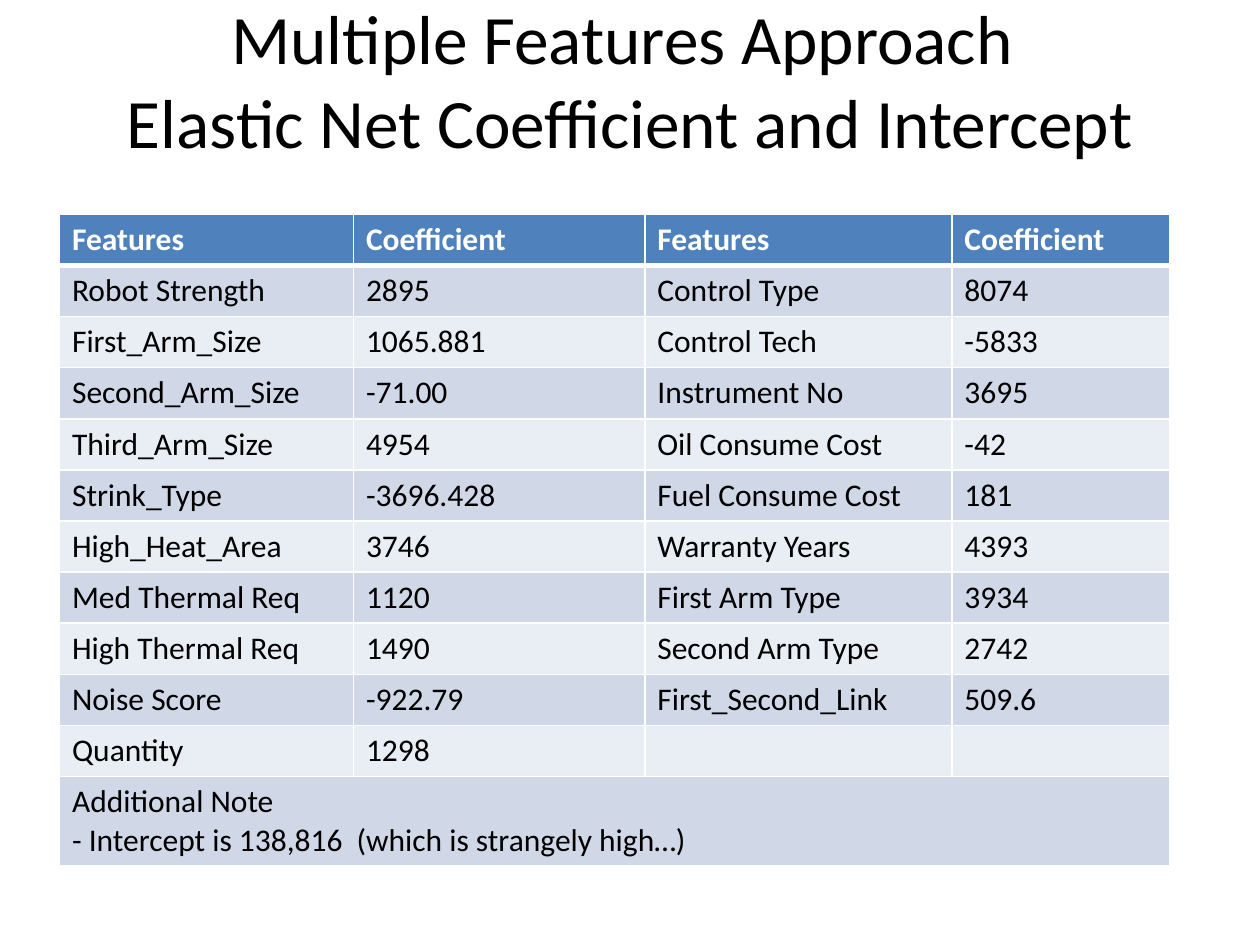
import dataclasses

import lxml.etree
import pptx
import pptx.dml.color
import pptx.enum.text
import pptx.oxml.ns
import pptx.util

Pt = pptx.util.Pt


@dataclasses.dataclass(frozen=True)
class Theme:
    font: str = "Calibri"
    title_size: float = 39.6
    table_size: float = 18
    text: str = "000000"
    light: str = "FFFFFF"
    header: str = "4F81BD"
    bands: tuple = ("D0D8E8", "E9EDF4")
    rule: float = 1
    header_rule: float = 3


TITLE_LINES = ("Multiple Features Approach ", "Elastic Net Coefficient and Intercept")
HEADER = ("Features", "Coefficient", "Features", "Coefficient")
COEFFICIENTS = (
    ("Robot Strength", "2895", "Control Type", "8074"),
    ("First_Arm_Size", "1065.881", "Control Tech", "-5833"),
    ("Second_Arm_Size", "-71.00", "Instrument No", "3695"),
    ("Third_Arm_Size", "4954", "Oil Consume Cost", "-42"),
    ("Strink_Type", "-3696.428", "Fuel Consume Cost", "181"),
    ("High_Heat_Area", "3746", "Warranty Years", "4393"),
    ("Med Thermal Req", "1120", "First Arm Type", "3934"),
    ("High Thermal Req", "1490", "Second Arm Type", "2742"),
    ("Noise Score", "-922.79", "First_Second_Link", "509.6"),
    ("Quantity", "1298", "", ""),
)
NOTE = "Additional Note\n- Intercept is 138,816  (which is strangely high…)"


class SlideBuilder:
    def __init__(self, page, theme):
        self.page = page
        self.theme = theme

    def style(self, para, size, color, bold=False):
        para.font.name = self.theme.font
        para.font.size = Pt(size)
        para.font.bold = bold
        para.font.color.rgb = pptx.dml.color.RGBColor.from_string(color)

    def title(self, lines, left, top, width, height):
        box = self.page.shapes.title
        box.left, box.top, box.width, box.height = map(Pt, (left, top, width, height))
        frame = box.text_frame
        frame.auto_size = pptx.enum.text.MSO_AUTO_SIZE.NONE
        frame.vertical_anchor = pptx.enum.text.MSO_ANCHOR.MIDDLE
        para = frame.paragraphs[0]
        para.text = "\v".join(lines)
        para.alignment = pptx.enum.text.PP_ALIGN.CENTER
        self.style(para, self.theme.title_size, self.theme.text)

    def borders(self, cell, widths):
        """Draw the cell's left, right, top and bottom rules."""
        properties = cell._tc.get_or_add_tcPr()
        qn = pptx.oxml.ns.qn
        for position, (side, width) in enumerate(zip("LRTB", widths)):
            line = lxml.etree.Element(qn(f"a:ln{side}"), w=str(Pt(width)))
            fill = lxml.etree.SubElement(line, qn("a:solidFill"))
            lxml.etree.SubElement(fill, qn("a:srgbClr"), val=self.theme.light)
            properties.insert(position, line)

    def cell(self, cell, text, row):
        theme = self.theme
        is_header = row == 0
        cell.text = text
        for para in cell.text_frame.paragraphs:
            self.style(para, theme.table_size, theme.light if is_header else theme.text, is_header)
        cell.fill.solid()
        color = theme.header if is_header else theme.bands[(row - 1) % 2]
        cell.fill.fore_color.rgb = pptx.dml.color.RGBColor.from_string(color)
        top = theme.header_rule if row == 1 else theme.rule
        bottom = theme.header_rule if is_header else theme.rule
        self.borders(cell, (theme.rule, theme.rule, top, bottom))

    def table(self, rows, note, left, top, widths, row_height, note_height):
        heights = [row_height] * len(rows) + [note_height]
        frame = self.page.shapes.add_table(
            len(heights), len(widths), Pt(left), Pt(top), Pt(sum(widths)), Pt(sum(heights)))
        table = frame.table
        for column, width in zip(table.columns, widths):
            column.width = Pt(width)
        for row, height in zip(table.rows, heights):
            row.height = Pt(height)
        for row, texts in enumerate(rows):
            for column, text in enumerate(texts):
                self.cell(table.cell(row, column), text, row)

        # Note across the full width
        last = len(rows)
        table.cell(last, 0).merge(table.cell(last, len(widths) - 1))
        self.cell(table.cell(last, 0), note, last)


def main():
    deck = pptx.Presentation()
    deck.slide_width, deck.slide_height = Pt(720), Pt(540)
    page = deck.slides.add_slide(deck.slide_layouts[5])
    builder = SlideBuilder(page, Theme())

    # Title
    builder.title(TITLE_LINES, 0, 0, 720, 90)

    # Coefficient table
    builder.table((HEADER, *COEFFICIENTS), NOTE, left=34, top=122.5,
                  widths=(168, 166.5, 175.5, 124.5), row_height=29.2, note_height=51)

    deck.save("out.pptx")


if __name__ == "__main__":
    main()
